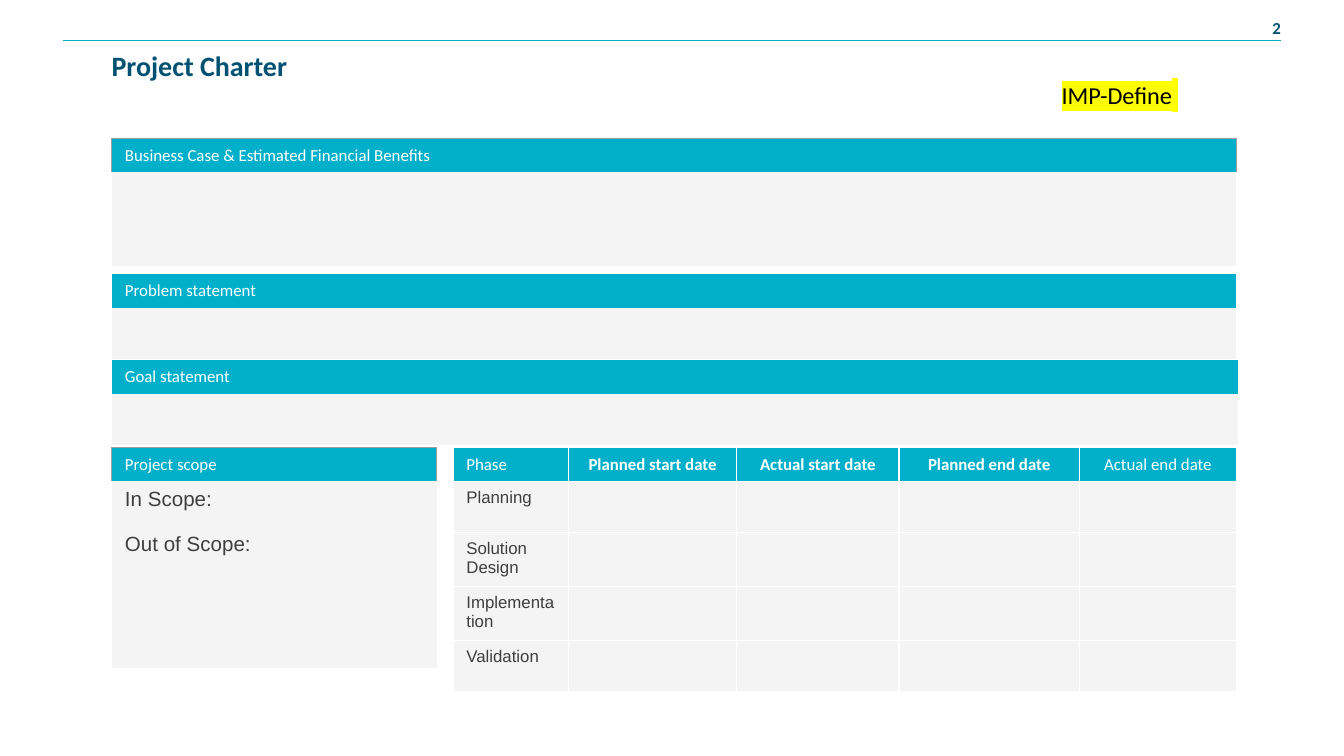
from lxml import etree
from pptx import Presentation
from pptx.dml.color import RGBColor
from pptx.enum.shapes import MSO_CONNECTOR
from pptx.enum.text import MSO_ANCHOR, PP_ALIGN
from pptx.oxml.ns import qn
from pptx.util import Inches, Pt

LINE = MSO_CONNECTOR.STRAIGHT
TOP, MIDDLE = MSO_ANCHOR.TOP, MSO_ANCHOR.MIDDLE
LEFT, CENTER, RIGHT = PP_ALIGN.LEFT, PP_ALIGN.CENTER, PP_ALIGN.RIGHT
rgb = RGBColor.from_string
NAVY, TEAL, PALE, DARK = "005172", "00B0CA", "F4F4F4", "3E3E3E"
WHITE, GREY = "FFFFFF", "9E9E9E"


def style(para, size, face, color, bold=False, align=LEFT):
    para.alignment = align
    for run in para.runs:
        run.font.size = Pt(size)
        run.font.name = face
        run.font.bold = bold
        run.font.color.rgb = rgb(color)


def set_edges(cell, colors):
    props = cell._tc.get_or_add_tcPr()
    for i, side in enumerate("LRTB"):
        line = etree.Element(qn("a:ln" + side), w=str(Pt(0.75)))
        if side in colors:
            fill = etree.SubElement(line, qn("a:solidFill"))
            etree.SubElement(fill, qn("a:srgbClr"), val=colors[side])
        else:
            etree.SubElement(line, qn("a:noFill"))
        props.insert(i, line)


deck = Presentation()
deck.slide_width = Inches(10)
deck.slide_height = deck.slide_width * 9 // 16
slide = deck.slides.add_slide(deck.slide_layouts[5])
shapes = slide.shapes

rule = shapes.add_connector(LINE, Inches(0.47), Inches(0.3), Inches(9.53), Inches(0.3))
rule.line.color.rgb = rgb("00AEC7")
rule.line.width = Pt(0.75)
etree.SubElement(rule._element.spPr, qn("a:effectLst"))

title = shapes.title
title.left, title.top = Inches(0.83), Inches(0.36)
title.width, title.height = Inches(4.98), Inches(0.3)
page = shapes.add_textbox(Inches(9.38), Inches(0.13), Inches(0.15), Inches(0.18))
for box, text, size, align, anchor, foot in [
    (title, "Project Charter", 15, LEFT, TOP, 0),
    (page, "2", 9, RIGHT, MIDDLE, 0.03),
]:
    frame = box.text_frame
    frame.word_wrap = True
    frame.vertical_anchor = anchor
    frame.margin_left = frame.margin_right = frame.margin_top = 0
    frame.margin_bottom = Inches(foot)
    frame.text = text
    style(frame.paragraphs[0], size, "Calibri", NAVY, True, align)

heads = ["Phase", "Planned start date", "Actual start date", "Planned end date", "Actual end date"]
phases = ["Planning", "Solution Design", "Implementation", "Validation"]
plan = [heads] + [[name, "", "", "", ""] for name in phases]
frame_edges = dict.fromkeys("LRT", GREY)
grid_edges = dict.fromkeys("LRTB", WHITE)
tables = [
    (3.37, 3.33, [0.86, 1.25, 1.21, 1.34, 1.17], [0.25, 0.38, 0.4, 0.4, 0.38], plan, 9, grid_edges),
    (0.83, 3.33, [2.42], [0.25, 1.39], [["Project scope"], ["In Scope:\nOut of Scope:"]], 11, frame_edges),
    (0.83, 2.68, [8.38], [0.25, 0.38], [["Goal statement"], [""]], 9, {}),
    (0.83, 2.04, [8.37], [0.25, 0.38], [["Problem statement"], [""]], 9, {}),
    (0.83, 1.03, [8.37], [0.25, 0.7], [["Business Case & Estimated Financial Benefits"], [""]], 9, frame_edges),
]
for left, top, cols, rows, texts, size, edges in tables:
    table = shapes.add_table(
        len(rows), len(cols), Inches(left), Inches(top), Inches(sum(cols)), Inches(sum(rows))
    ).table
    table.first_row = table.horz_banding = False
    for c, width in enumerate(cols):
        table.columns[c].width = Inches(width)
    for r, height in enumerate(rows):
        table.rows[r].height = Inches(height)
        for c, text in enumerate(texts[r]):
            cell = table.cell(r, c)
            cell.fill.solid()
            cell.fill.fore_color.rgb = rgb(PALE if r else TEAL)
            set_edges(cell, edges if r == 0 or edges is grid_edges else {})
            cell.margin_left = cell.margin_right = Inches(0.1)
            cell.margin_top = cell.margin_bottom = Inches(0.05 if text else 0)
            cell.text_frame.text = text
            for i, para in enumerate(cell.text_frame.paragraphs):
                if r:
                    style(para, size, "Arial", DARK)
                else:
                    style(para, 9, "Calibri", WHITE, 0 < c < 4, CENTER if c else LEFT)
                if i:
                    para.space_before = Pt(12)

tag = shapes.add_textbox(Inches(7.8), Inches(0.47), Inches(1.55), Inches(0.45))
frame = tag.text_frame
frame.word_wrap = True
frame.margin_left = frame.margin_right = frame.margin_top = frame.margin_bottom = Inches(0.1)
para = frame.paragraphs[0]
for text in ["IMP-Define", " "]:
    para.add_run().text = text
style(para, 13, "Calibri", "000000")
para.runs[1].font.size = Pt(15)
for run in para.runs:
    mark = etree.Element(qn("a:highlight"))
    etree.SubElement(mark, qn("a:srgbClr"), val="FFFF00")
    run._r.get_or_add_rPr().insert(1, mark)

deck.save("out.pptx")
